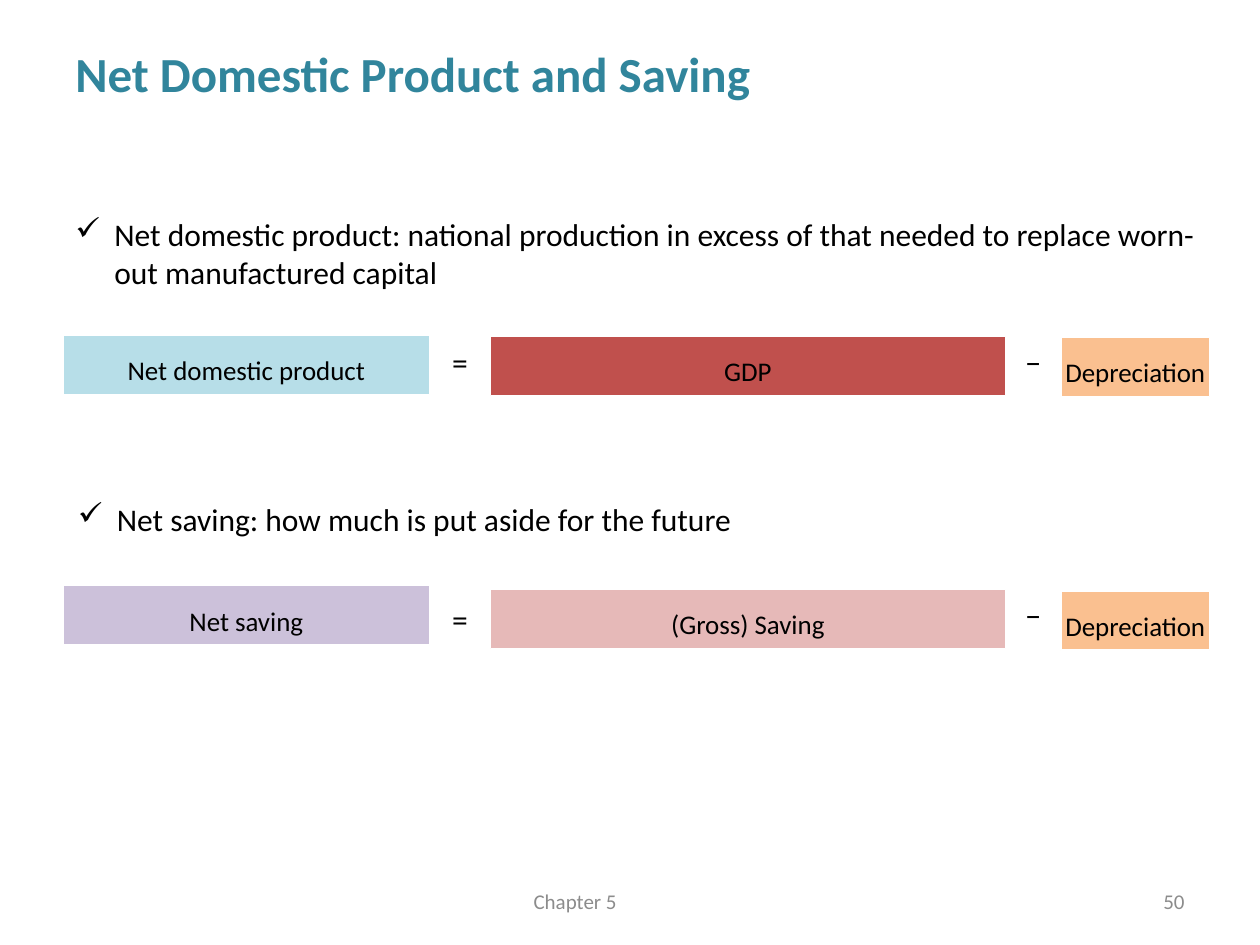
import pptx
import pptx.dml.color
import pptx.enum.shapes
import pptx.enum.text
import pptx.oxml
import pptx.oxml.ns
import pptx.util

ALIGN = pptx.enum.text.PP_ALIGN
ANCHOR = pptx.enum.text.MSO_ANCHOR
COLORS = {
    "title": "31859C", "text": "000000", "footer": "8C8C8C", "edge": "FFFFFF",
    "product": "B7DEE8", "gdp": "C0504D", "depreciation": "FAC090",
    "saving": "CCC1DA", "gross": "E6B9B8",
}
WIDTH, HEIGHT = pptx.util.Inches(10), pptx.util.Inches(7.5)
COLUMN_EDGES = [5, 34.1, 38.9, 79.8, 84.2, 96]
BOX_HEIGHT, LINE_HEIGHT = 6.27, 5.33
EQUATIONS = [
    [("Net domestic product", 35.47, "product"), ("=", 35.6, None),
     ("GDP", 35.6, "gdp"), ("−", 35.6, None),
     ("Depreciation", 35.73, "depreciation")],
    [("Net saving", 62, "saving"), ("=", 62.8, None),
     ("(Gross) Saving", 62.4, "gross"), ("−", 62.4, None),
     ("Depreciation", 62.53, "depreciation")],
]


def color(name):
    """Return the named colour."""
    return pptx.dml.color.RGBColor.from_string(COLORS[name])


def place(left, top, width, height):
    """Turn percentages of the slide into lengths."""
    return (int(WIDTH * left / 100), int(HEIGHT * top / 100),
            int(WIDTH * width / 100), int(HEIGHT * height / 100))


def apply(target, values):
    """Set every attribute in values on the target."""
    for name, value in values.items():
        setattr(target, name, value)


def write(shape, text, size, ink="text", frame=None, layout=None, bold=False):
    """Fill the shape with one formatted paragraph and return it."""
    apply(shape.text_frame, {"word_wrap": True, **(frame or {})})
    paragraph = shape.text_frame.paragraphs[0]
    apply(paragraph, layout or {})
    run = paragraph.add_run()
    run.text = text
    apply(run.font, {"name": "Calibri", "size": pptx.util.Pt(size), "bold": bold})
    run.font.color.rgb = color(ink)
    return paragraph


def add_text(slide, box, text, size, **formats):
    """Add a text box and return its paragraph."""
    return write(slide.shapes.add_textbox(*place(*box)), text, size, **formats)


def add_bullet(slide, box, text):
    """Add a text box with a check mark bullet."""
    paragraph = add_text(slide, box, text, 18)
    properties = paragraph._p.get_or_add_pPr()
    indent = pptx.util.Inches(0.31)
    properties.set("marL", str(indent))
    properties.set("indent", str(-indent))
    namespace = pptx.oxml.ns.nsdecls("a")
    properties.append(pptx.oxml.parse_xml(f'<a:buChar {namespace} char="✓"/>'))


def add_term(slide, box, text, fill):
    """Add a coloured box for one term of an equation."""
    shape = slide.shapes.add_shape(
        pptx.enum.shapes.MSO_SHAPE.RECTANGLE, *place(*box))
    shape.shadow.inherit = False
    shape.fill.solid()
    shape.fill.fore_color.rgb = color(fill)
    shape.line.color.rgb = color("edge")
    shape.line.width = pptx.util.Pt(0.75)
    frame = {"vertical_anchor": ANCHOR.MIDDLE}
    if fill == "depreciation":
        frame.update(margin_left=0, margin_right=0)
    layout = {"alignment": ALIGN.CENTER, "line_spacing": 1.3,
              "space_before": pptx.util.Pt(3.1)}
    write(shape, text, 15.4, frame=frame, layout=layout)


def add_equation(slide, parts):
    """Lay out terms and operators between the column edges."""
    for left, right, (text, top, fill) in zip(COLUMN_EDGES, COLUMN_EDGES[1:], parts):
        if fill:
            add_term(slide, (left, top, right - left, BOX_HEIGHT), text, fill)
        else:
            add_text(slide, (left, top, right - left, LINE_HEIGHT), text, 18,
                     layout={"alignment": ALIGN.CENTER})


def add_footer(slide, left, width, text, alignment):
    """Add one grey text at the foot of the slide."""
    add_text(slide, (left, 92.67, width, LINE_HEIGHT), text, 12, ink="footer",
             frame={"vertical_anchor": ANCHOR.MIDDLE},
             layout={"alignment": alignment})


def main():
    """Build the slide and save it."""
    presentation = pptx.Presentation()
    apply(presentation, {"slide_width": WIDTH, "slide_height": HEIGHT})
    slide = presentation.slides.add_slide(presentation.slide_layouts[6])
    add_text(slide, (5, 4, 90, 11.33), "Net Domestic Product and Saving", 28,
             ink="title", bold=True)
    add_bullet(slide, (5, 22.13, 91, 9.47),
               "Net domestic product: national production in excess of that "
               "needed to replace worn-out manufactured capital")
    add_bullet(slide, (5.2, 52.27, 88.3, LINE_HEIGHT),
               "Net saving: how much is put aside for the future")
    for parts in EQUATIONS:
        add_equation(slide, parts)
    add_footer(slide, 21.5, 48.3, "Chapter 5", ALIGN.CENTER)
    add_footer(slide, 71.7, 23.3, "50", ALIGN.RIGHT)
    presentation.save("out.pptx")


if __name__ == "__main__":
    main()
